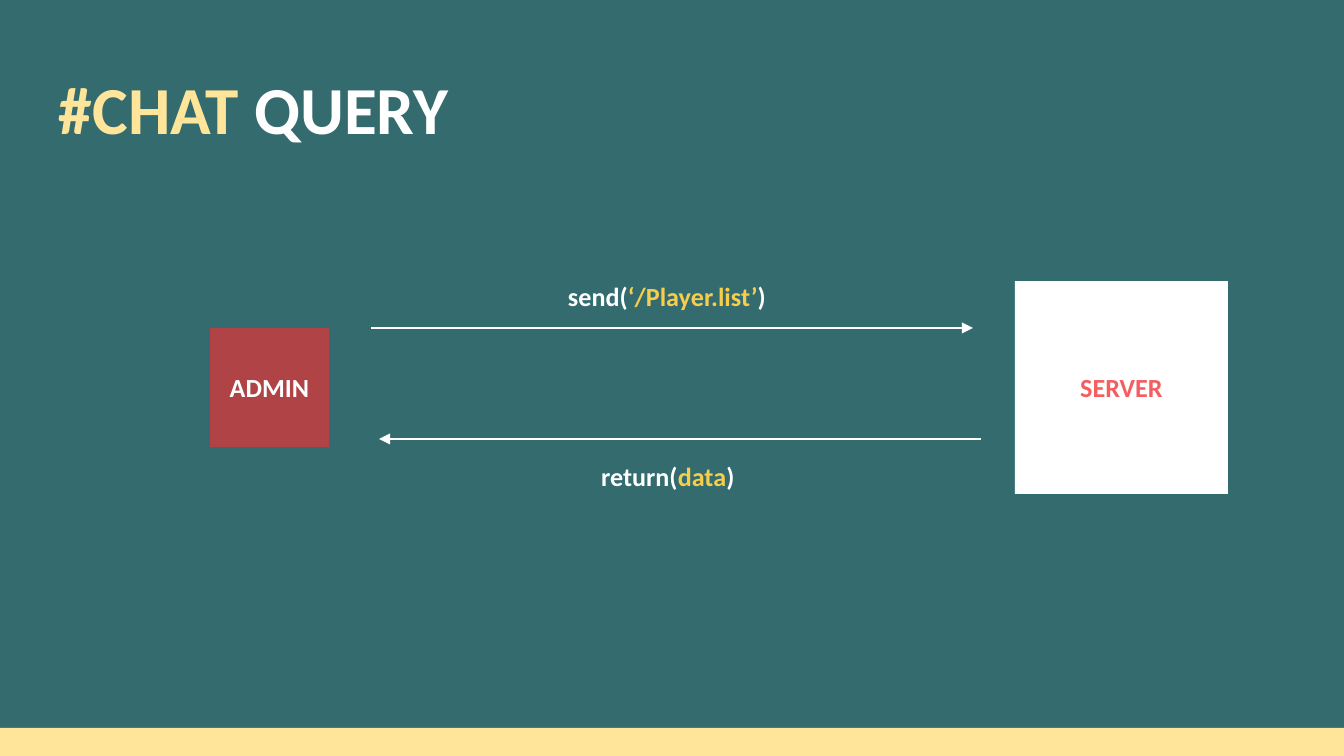
from dataclasses import dataclass

import pptx
import pptx.dml.color
import pptx.enum.shapes
import pptx.enum.text
import pptx.oxml
import pptx.oxml.ns
import pptx.util

PX = 914400 / 134.4
SLIDE_WIDTH, SLIDE_HEIGHT = 1344, 756
INSET = 13


@dataclass(frozen=True)
class Theme:
    font: str = "Calibri"
    background: str = "336B6F"
    accent: str = "FFE599"
    argument: str = "F6CD4C"
    white: str = "FFFFFF"
    admin: str = "AF4345"
    server_text: str = "F55E61"
    title_size: int = 36
    label_size: int = 14
    line_width: float = 0.75


THEME = Theme()


def px(length):
    return pptx.util.Emu(round(length * PX))


def color(value):
    return pptx.dml.color.RGBColor.from_string(value)


def set_text(shape, parts, size, align, anchor):
    """Fill a shape with one bold paragraph made of (text, colour) parts."""
    frame = shape.text_frame
    frame.word_wrap = True
    frame.auto_size = pptx.enum.text.MSO_AUTO_SIZE.NONE
    frame.vertical_anchor = anchor
    frame.margin_left = frame.margin_right = px(INSET)
    frame.margin_top = frame.margin_bottom = px(INSET)
    paragraph = frame.paragraphs[0]
    paragraph.alignment = align
    for text, text_color in parts:
        run = paragraph.add_run()
        run.text = text
        run.font.name = THEME.font
        run.font.size = pptx.util.Pt(size)
        run.font.bold = True
        run.font.color.rgb = color(text_color)
    return paragraph


def add_title(slide, parts):
    title = slide.shapes.title
    title.left, title.top, title.width, title.height = map(px, (46, 42, 1252, 91))
    paragraph = set_text(title, parts, THEME.title_size,
                         pptx.enum.text.PP_ALIGN.LEFT, pptx.enum.text.MSO_ANCHOR.TOP)
    paragraph.line_spacing = 1.15
    paragraph.space_before = pptx.util.Pt(0)
    paragraph.space_after = pptx.util.Pt(16)


def add_rectangle(slide, left, top, width, height, fill):
    shape = slide.shapes.add_shape(pptx.enum.shapes.MSO_SHAPE.RECTANGLE,
                                   *map(px, (left, top, width, height)))
    shape.shadow.inherit = False
    shape.fill.solid()
    shape.fill.fore_color.rgb = color(fill)
    shape.line.fill.background()
    return shape


def add_node(slide, left, center_y, side, fill, name, text_color):
    square = add_rectangle(slide, left, center_y - side / 2, side, side, fill)
    set_text(square, [(name, text_color)], THEME.label_size,
             pptx.enum.text.PP_ALIGN.CENTER, pptx.enum.text.MSO_ANCHOR.MIDDLE)


def add_arrow(slide, start_x, end_x, y):
    arrow = slide.shapes.add_connector(pptx.enum.shapes.MSO_CONNECTOR.STRAIGHT,
                                       *map(px, (start_x, y, end_x, y)))
    arrow.line.color.rgb = color(THEME.white)
    arrow.line.width = pptx.util.Pt(THEME.line_width)
    arrowhead = pptx.oxml.parse_xml(
        f'<a:tailEnd {pptx.oxml.ns.nsdecls("a")} type="triangle"/>')
    arrow.line._get_or_add_ln().append(arrowhead)
    properties = arrow._element.spPr
    properties.append(pptx.oxml.parse_xml(
        f'<a:effectLst {pptx.oxml.ns.nsdecls("a")}/>'))


def add_call(slide, left, top, width, function, argument):
    """Label a message as function(argument), with the argument highlighted."""
    label = slide.shapes.add_textbox(*map(px, (left, top, width, 54)))
    parts = [(f"{function}(", THEME.white), (argument, THEME.argument), (")", THEME.white)]
    set_text(label, parts, THEME.label_size,
             pptx.enum.text.PP_ALIGN.LEFT, pptx.enum.text.MSO_ANCHOR.TOP)


def main():
    presentation = pptx.Presentation()
    presentation.slide_width = px(SLIDE_WIDTH)
    presentation.slide_height = px(SLIDE_HEIGHT)
    slide = presentation.slides.add_slide(presentation.slide_layouts[5])
    slide.background.fill.solid()
    slide.background.fill.fore_color.rgb = color(THEME.background)

    footer_height = 28
    add_rectangle(slide, 0, SLIDE_HEIGHT - footer_height, SLIDE_WIDTH,
                  footer_height, THEME.accent)
    add_title(slide, [("#CHAT ", THEME.accent), ("QUERY", THEME.white)])

    center_y = 387.5
    add_node(slide, 210, center_y, 119, THEME.admin, "ADMIN", THEME.white)
    add_node(slide, 1015, center_y, 213, THEME.white, "SERVER", THEME.server_text)
    add_arrow(slide, 371, 973, 328)
    add_arrow(slide, 981, 379, 439)
    add_call(slide, 555, 267, 234, "send", "‘/Player.list’")
    add_call(slide, 588, 447, 168, "return", "data")

    presentation.save("out.pptx")


if __name__ == "__main__":
    main()
